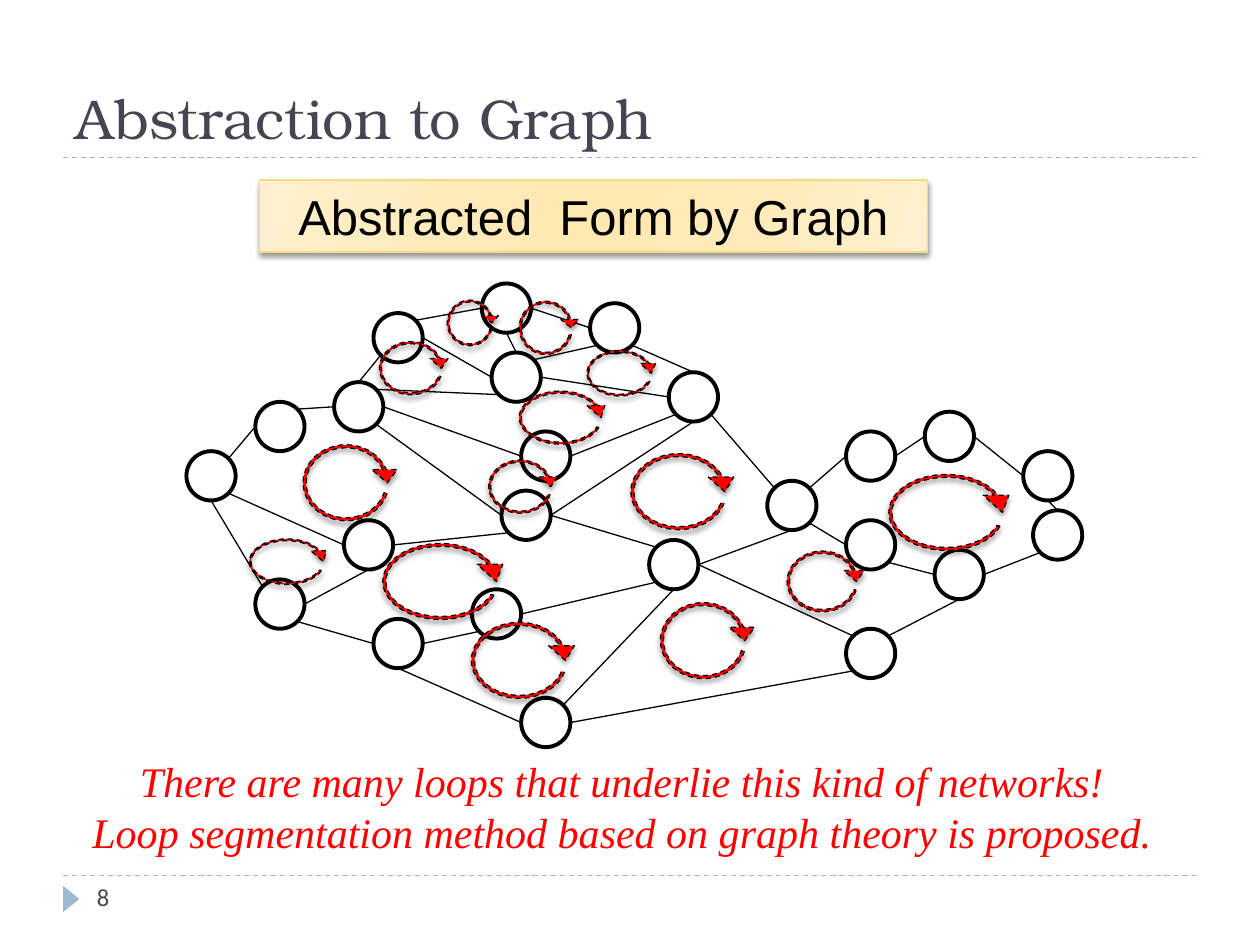
from lxml.etree import SubElement as Sub
from pptx import Presentation
from pptx.dml.color import RGBColor
from pptx.enum.dml import MSO_LINE as Dash
from pptx.enum.shapes import MSO_CONNECTOR as Link, MSO_SHAPE as Kind
from pptx.enum.text import MSO_ANCHOR as Anchor, MSO_AUTO_SIZE as Fit, PP_ALIGN as Align
from pptx.oxml.ns import qn
from pptx.util import Inches, Pt

# The slide is a grid of 100 columns by 75 rows; boxes are left, top, width, height
WIDE, HIGH = Inches(10), Inches(7.5)
CELL = WIDE / 100
INK, BLUE, RED, BLACK, WHITE = "464653", "9FB8CD", "FF0000", "000000", "FFFFFF"

# The graph has its own grid, on which a node spans 5 cells
COLS, ROWS, SPAN = 91, 47, 5
NODES = {
    "a": (85, 17), "b": (15, 10), "c": (41, 2), "d": (30, 0),
    "e": (19, 3), "f": (75, 13), "g": (86, 23), "h": (76, 27),
    "i": (31, 7), "j": (16, 24), "k": (59, 20), "l": (67, 24),
    "m": (47, 26), "n": (67, 35), "o": (34, 42), "p": (29, 31),
    "q": (19, 34), "r": (7, 30), "s": (32, 21), "t": (0, 17),
    "u": (49, 9), "v": (34, 15), "w": (67, 15), "x": (7, 12),
}
# Each edge: node and compass side at its start, then at its end
EDGES = """
dW eNE, eSW bN, dE cW, cSE uN, uSW vE, bE vW, xW tNE, uSE kNW, kS mE, bSE sW,
sSW jE, tSE jW, tS rNW, rE jS, rSE qW, qE pSW, sE mNW, mSW pE, qS oW, mS oNE,
mE nNW, kSE lW, uS sE, eE iW, iSW bNE, cSW iNE, iE uW, lSE hW, wE fW, fE aW,
aS gN, gSW hE, bW xNE, wW kNE, dS iN, hS nNE, nSW oE
"""
LOOPS = [
    (10.7, 15.2, 11, 10), (18.8, 5.1, 8, 7), (5.7, 25.2, 9, 6),
    (18.8, 25.2, 14, 10), (27.8, 33.2, 12, 10), (47, 31.2, 11, 10),
    (33, 10.1, 10, 7), (29.9, 17.1, 8, 7), (60.1, 26.2, 9, 8),
    (70.2, 18.2, 14, 10), (40, 6.1, 8, 6), (25.8, 1, 6, 6),
    (33, 1, 7, 7), (44, 16.1, 12, 10),
]


def paint(part, tint):
    """Colour a fill or a font."""
    if hasattr(part, "solid"):
        part.solid()
        part.fore_color.rgb = RGBColor.from_string(tint)
    else:
        part.color.rgb = RGBColor.from_string(tint)


def place(box):
    return [round(n * CELL) for n in box]


def stroke(line, tint, wide, dash=None):
    paint(line.fill, tint)
    line.width = Pt(wide)
    if dash:
        line.dash_style = dash


def write(shape, text, face, size, tint, align=Align.LEFT, slant=False,
          anchor=Anchor.TOP, wrap=True):
    frame = shape.text_frame
    frame.auto_size, frame.word_wrap = Fit.NONE, wrap
    frame.vertical_anchor = anchor
    frame.text = text
    for para in frame.paragraphs:
        para.alignment = align
        font = para.font
        font.name, font.size, font.italic = face, Pt(size), slant
        paint(font, tint)


def shade(shape):
    """Soft shadow straight below the shape."""
    fx = Sub(shape._element.spPr, qn("a:effectLst"))
    drop = Sub(fx, qn("a:outerShdw"), blurRad=str(Pt(3)), dist=str(Pt(2)),
               dir="5400000", rotWithShape="0")
    ink = Sub(drop, qn("a:srgbClr"), val=BLACK)
    Sub(ink, qn("a:alpha"), val="40000")


def blend(fill, stops, angle):
    fill.gradient()
    fill.gradient_angle = 360 - angle
    bag = fill._xPr.find(qn("a:gradFill")).find(qn("a:gsLst"))
    for old in list(bag):
        bag.remove(old)
    for at, tint in stops:
        Sub(Sub(bag, qn("a:gs"), pos=str(at * 1000)), qn("a:srgbClr"), val=tint)


def solid(slide, kind, spot, tint):
    shape = slide.shapes.add_shape(kind, *spot)
    shape.shadow.inherit = False
    paint(shape.fill, tint)
    shape.line.fill.background()
    return shape


def join(slide, start, end, tint, dash=None):
    ends = [round(n) for n in (*start, *end)]
    line = slide.shapes.add_connector(Link.STRAIGHT, *ends)
    Sub(line._element.spPr, qn("a:effectLst"))
    stroke(line.line, tint, 0.75, dash)


def frame(slide, box, page):
    """Two rules, the page mark and the page number."""
    left, top, wide, high = box
    for y in (top + high, top):
        join(slide, place((left, y)), place((left + wide, y)), BLUE, Dash.DASH)
    base = top + high
    mark = solid(slide, Kind.ISOSCELES_TRIANGLE, place((left - 0.4, base + 1.2, 2.1, 1.3)), BLUE)
    mark.rotation = 90
    note = slide.shapes.add_textbox(*place((left + 1.7, base, 21.7, 4)))
    write(note, page, "Calibri", 14, INK)


def head(slide, box, text):
    title = slide.shapes.title
    title.left, title.top, title.width, title.height = place(box)
    write(title, text, "TeX Gyre Bonum", 32, INK, anchor=Anchor.BOTTOM)


def banner(slide, box, text):
    shape = solid(slide, Kind.RECTANGLE, place(box), WHITE)
    blend(shape.fill, [(0, "FFF0CF"), (30, "FFEBBA"), (45, "FFE9B3"),
                       (55, "FFE9B3"), (73, "FFEBBA"), (100, "FFF0CF")], 16)
    stroke(shape.line, "FADA7A", 0.75)
    shape._element.spPr.remove(shape._element.spPr.find(qn("a:effectLst")))
    shade(shape)
    write(shape, text, "Arial", 28, BLACK, Align.CENTER, anchor=Anchor.MIDDLE)


def remark(slide, box, text):
    note = slide.shapes.add_textbox(*place(box))
    write(note, text, "Times New Roman", 24, RED, Align.CENTER, slant=True, wrap=False)


def graph(slide, box):
    """Nodes, edges between their rims, and an arrow in each loop."""
    left, top, wide, high = place(box)
    dx, dy = wide / COLS, high / ROWS

    def spot(col, row, w, h):
        return [round(n) for n in (left + col * dx, top + row * dy, w * dx, h * dy)]

    def rim(end):
        (col, row), side = NODES[end[0]], end[1:]
        reach = SPAN / 2 * (1 if len(side) == 1 else 0.5 ** 0.5)
        x = col + SPAN / 2 + reach * (("E" in side) - ("W" in side))
        y = row + SPAN / 2 + reach * (("S" in side) - ("N" in side))
        return left + x * dx, top + y * dy

    for col, row in NODES.values():
        node = solid(slide, Kind.OVAL, spot(col, row, SPAN, SPAN), WHITE)
        stroke(node.line, BLACK, 2.25)
    for edge in EDGES.split(","):
        start, end = edge.split()
        join(slide, rim(start), rim(end), BLACK)
    for cells in LOOPS:
        loop = slide.shapes.add_shape(Kind.CIRCULAR_ARROW, *spot(*cells))
        for n, value in enumerate((0.03, 11.42, 204.58, 8.64, 0.13)):
            loop.adjustments[n] = value
        paint(loop.fill, RED)
        stroke(loop.line, BLACK, 0.75, Dash.DASH)
        shade(loop)


def main():
    deck = Presentation()
    deck.slide_width, deck.slide_height = WIDE, HIGH
    slide = deck.slides.add_slide(deck.slide_layouts[5])
    frame(slide, (5, 12.5, 90, 57), "8")
    head(slide, (5, 1.7, 90, 10.8), "Abstraction to Graph")
    banner(slide, (20.6, 14.3, 53, 5.7), "Abstracted  Form by Graph")
    graph(slide, (14.8, 22.5, 71.1, 36.8))
    remark(slide, (5.9, 59.5, 86.9, 9.1),
           "There are many loops that underlie this kind of networks!\n"
           "Loop segmentation method based on graph theory is proposed.")
    deck.save("out.pptx")


if __name__ == "__main__":
    main()
